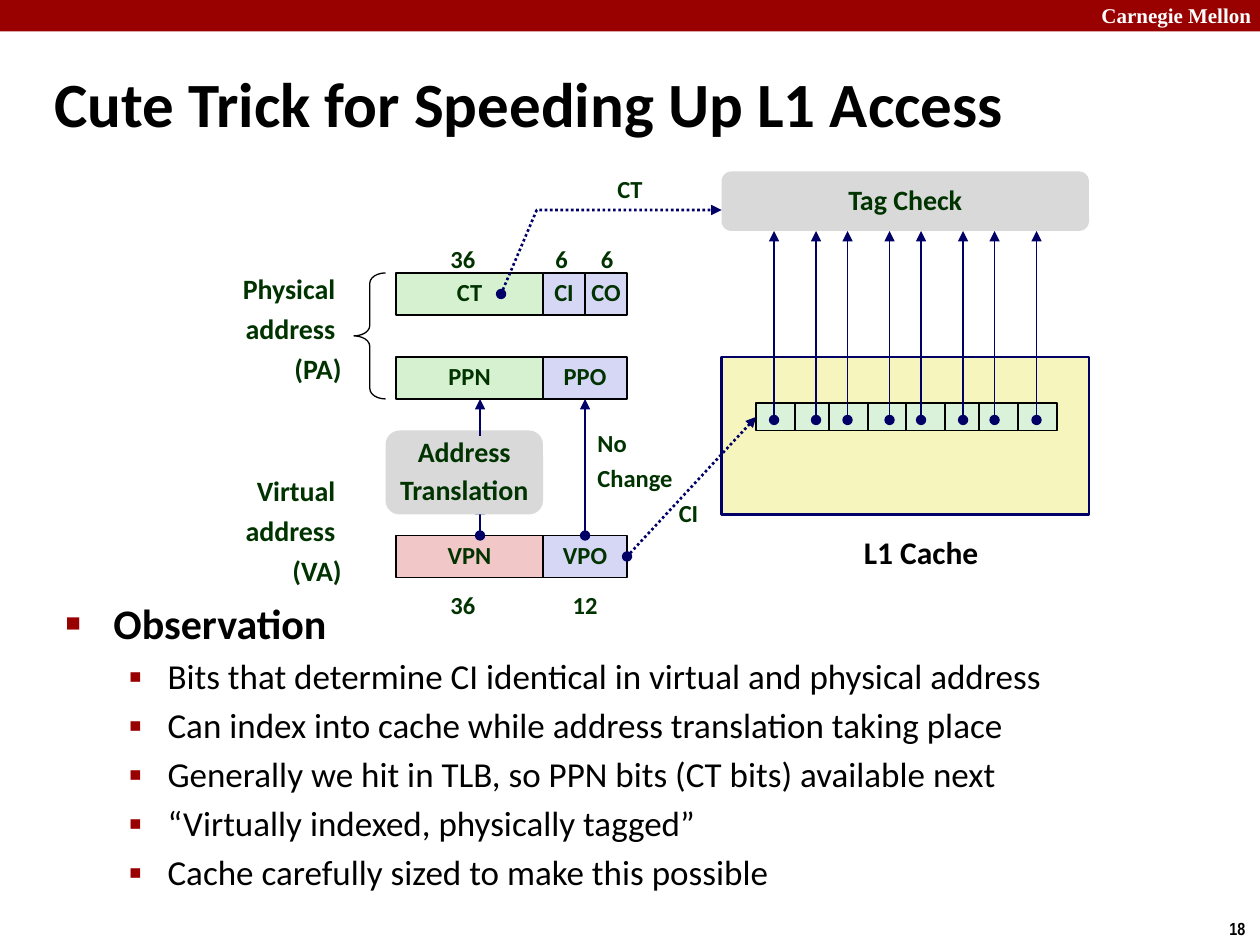
import lxml.etree
import pptx
import pptx.dml.color
import pptx.enum.dml
import pptx.enum.shapes
import pptx.enum.text
import pptx.oxml.ns
import pptx.util

Pt, Inches = pptx.util.Pt, pptx.util.Inches
RGB = pptx.dml.color.RGBColor.from_string
qn = pptx.oxml.ns.qn
KIND = pptx.enum.shapes.MSO_SHAPE
ALIGN = pptx.enum.text.PP_ALIGN
FIT = pptx.enum.text.MSO_AUTO_SIZE
MIDDLE = pptx.enum.text.MSO_ANCHOR.MIDDLE

THEME = {
    "red": "990000", "navy": "000066", "black": "000000",
    "green": "D5F1CF", "lilac": "D6D6F5", "pink": "F1C7C7",
    "grey": "D9D9D9", "yellow": "F6F5BD", "mint": "DBF2DA",
    # font, size, colour, line spacing, space between paragraphs
    "field": ("Calibri", 14, "003300", 0.88, 5.2),
    "block": ("Calibri", 16, "003300", 0.88, 5.2),
    "side": ("Calibri", 16, "003300", 0.88, 6),
    "caption": ("Calibri", 18, "000000", 1.0, 0),
    "header": ("Times New Roman", 12, "FFFFFF", 1.0, 0),
    "number": ("Arial Narrow", 10, "000000", 1.0, 0),
    "title": ("Calibri", 36), "topic": ("Calibri", 24), "point": ("Calibri", 20),
}
# Grid of twelfths of an inch; column 0 lies ORIGIN units from the left edge
UNIT = Inches(1) / 12
ORIGIN = 0.72

deck = pptx.Presentation()
deck.slide_width, deck.slide_height = Inches(10), Inches(7.5)
page = deck.slides.add_slide(deck.slide_layouts[1])


def add_box(kind, place, lines=(), style="field", fill=None, line=None,
            width=0.75, align=ALIGN.CENTER, wrap=False):
    """Add a preset shape, or a text box if kind is None, at grid place (col, row, w, h)."""
    col, row, wide, high = place
    area = [round(n * UNIT) for n in (col + ORIGIN, row, wide, high)]
    if kind is None:
        box = page.shapes.add_textbox(*area)
        box.text_frame.auto_size = FIT.SHAPE_TO_FIT_TEXT
    else:
        box = page.shapes.add_shape(kind, *area)
        box.shadow.inherit = False
        box.text_frame.vertical_anchor = MIDDLE
        if fill:
            box.fill.solid()
            box.fill.fore_color.rgb = RGB(THEME[fill])
        else:
            box.fill.background()
        if line:
            box.line.color.rgb = RGB(THEME[line])
            box.line.width = Pt(width)
        else:
            box.line.fill.background()
    frame = box.text_frame
    frame.word_wrap = wrap
    font, size, color, spacing, gap = THEME[style]
    for index, words in enumerate(lines):
        para = frame.add_paragraph() if index else frame.paragraphs[0]
        para.alignment = align
        para.line_spacing = spacing
        para.space_before = Pt(gap if index else 0)
        span = para.add_run()
        span.text = words
        span.font.name, span.font.size, span.font.bold = font, Pt(size), True
        span.font.color.rgb = RGB(color)
    return box


def add_arrow(points, head="oval", dotted=False):
    """Add an arrow through grid points: a connector for two, a freeform for more."""
    spots = [(round((col + ORIGIN) * UNIT), round(row * UNIT)) for col, row in points]
    if len(spots) == 2:
        arrow = page.shapes.add_connector(
            pptx.enum.shapes.MSO_CONNECTOR.STRAIGHT, *spots[0], *spots[1])
    else:
        outline = page.shapes.build_freeform(*spots[0])
        outline.add_line_segments(spots[1:], close=False)
        arrow = outline.convert_to_shape()
        arrow.fill.background()
    arrow.line.color.rgb = RGB(THEME["navy"])
    arrow.line.width = Pt(1.5 if dotted else 0.75)
    if dotted:
        arrow.line.dash_style = pptx.enum.dml.MSO_LINE.ROUND_DOT
    outline_xml = arrow.element.spPr.find(qn("a:ln"))
    for tag, end in (("a:headEnd", head), ("a:tailEnd", "triangle")):
        lxml.etree.SubElement(outline_xml, qn(tag), type=end)
    lxml.etree.SubElement(arrow.element.spPr, qn("a:effectLst"))
    return arrow


# Header bar and page number
add_box(KIND.RECTANGLE, (-ORIGIN, 0, 120, 3), fill="red")
add_box(None, (103, -0.36, 17.2, 3.6), ["Carnegie Mellon"], "header",
        align=ALIGN.LEFT, wrap=True)
add_box(None, (115.2, 86.8, 4.1, 3.2), ["18"], "number", align=ALIGN.LEFT)

# Title and bullets
title, body = page.shapes.title, page.placeholders[1]
title.left, title.top, title.width, title.height = map(Inches, (0.33, 0.5, 8.67, 0.63))
body.left, body.top, body.width, body.height = map(Inches, (0.42, 4.69, 9.35, 2.56))
title.text_frame.vertical_anchor = MIDDLE
outline_text = [
    (title, "title", "Cute Trick for Speeding Up L1 Access"),
    (body, "topic", "Observation"),
    (body, "point", "Bits that determine CI identical in virtual and physical address"),
    (body, "point", "Can index into cache while address translation taking place"),
    (body, "point", "Generally we hit in TLB, so PPN bits (CT bits) available next"),
    (body, "point", "“Virtually indexed, physically tagged”"),
    (body, "point", "Cache carefully sized to make this possible"),
]
# level, left margin, hanging indent, bullet, bullet size
bullets = {"topic": (0, 0.38, 0.38, "■", "60000"),
           "point": (1, 0.81, 0.31, "▪", "110000")}
for holder, style, words in outline_text:
    frame = holder.text_frame
    frame.auto_size, frame.word_wrap = FIT.NONE, True
    para = frame.add_paragraph() if style == "point" else frame.paragraphs[0]
    para.alignment = ALIGN.LEFT
    if style != "point":
        para.space_before = Pt(0)
    if style in bullets:
        para.level, margin, hang, mark, scale = bullets[style]
        properties = para._p.get_or_add_pPr()
        properties.set("marL", str(Inches(margin)))
        properties.set("indent", str(-Inches(hang)))
        tint = lxml.etree.SubElement(properties, qn("a:buClr"))
        lxml.etree.SubElement(tint, qn("a:srgbClr"), val=THEME["red"])
        lxml.etree.SubElement(properties, qn("a:buSzPct"), val=scale)
        lxml.etree.SubElement(properties, qn("a:buChar"), char=mark)
    span = para.add_run()
    span.text = words
    span.font.name, span.font.size = THEME[style][0], Pt(THEME[style][1])
    span.font.bold = style != "point"
    span.font.color.rgb = RGB(THEME["black"])

# Address fields
fields = {}
for name, col, row, wide, fill in [
    ("CT", 37, 26, 14, "green"), ("CI", 51, 26, 4, "lilac"), ("CO", 55, 26, 4, "lilac"),
    ("PPN", 37, 34, 14, "green"), ("PPO", 51, 34, 8, "lilac"),
    ("VPN", 37, 51, 14, "pink"), ("VPO", 51, 51, 8, "lilac"),
]:
    fields[name] = add_box(KIND.RECTANGLE, (col, row, wide, 4), [name],
                           fill=fill, line="black")

# Bit counts and arrow labels
for lines, col, row, wide, high in [
    (["36"], 41, 23, 4.8, 3.7), (["6"], 51, 23, 3.6, 3.7), (["6"], 55.33, 23, 3.6, 3.7),
    (["36"], 41, 56, 4.8, 3.7), (["No", "Change"], 55, 40.5, 9.6, 7.1),
    (["CI"], 62.75, 47.25, 4.3, 3.7), (["CT"], 56.9, 16.33, 4.8, 3.7),
]:
    add_box(None, (col, row, wide, high), lines, align=ALIGN.LEFT)
add_box(None, (51, 56, 8, 3.7), ["12"], wrap=True)

# Side labels with brace
add_box(None, (0.25, 25.7, 32.75, 11.8), ["Physical ", "address ", "(PA)"], "side",
        align=ALIGN.RIGHT, wrap=True)
add_box(None, (19, 44.9, 14, 11.8), ["Virtual ", "address ", "(VA)"], "side",
        align=ALIGN.RIGHT, wrap=True)
brace = add_box(KIND.LEFT_BRACE, (33, 26, 3, 12), line="black")
brace.adjustments[0] = 0.33

# Translation from virtual to physical address
add_arrow([(45, 51), (45, 48)])
translation = add_box(KIND.ROUNDED_RECTANGLE, (36, 41, 15, 8),
                      ["Address", "Translation"], "block", fill="grey")
add_arrow([(45, 41.5), (45, 38)], head="none")
unchanged = add_arrow([(55, 51), (55, 38)])
unchanged.begin_connect(fields["VPO"], 0)
unchanged.end_connect(fields["PPO"], 2)

# Cache with one set of lines
add_box(KIND.RECTANGLE, (68, 34, 35, 15), fill="yellow", line="navy", width=1.5)
add_box(None, (79, 50.2, 16, 4.8), ["L1 Cache"], "caption", wrap=True)
cells = [add_box(KIND.RECTANGLE, (71.3 + half * 14.3 + step, 38.4, 3.7, 2.6),
                 fill="mint", line="black", width=1)
         for half in range(2) for step in (0, 3.7, 6.95, 10.65)]
index_arrow = add_arrow([(59, 53), (71.3, 39.7)], dotted=True)
index_arrow.begin_connect(fields["VPO"], 3)
index_arrow.end_connect(cells[0], 1)

# Tag check
for pair in range(4):
    for step in (0, 4):
        col = 73 + 7 * pair + step
        add_arrow([(col, 40), (col, 22)])
tag_check = add_box(KIND.ROUNDED_RECTANGLE, (68, 16.33, 35, 5.67), ["Tag Check"],
                    "block", fill="grey")
add_arrow([(47, 28), (50.4, 20), (68, 20)], dotted=True)

deck.save("out.pptx")
